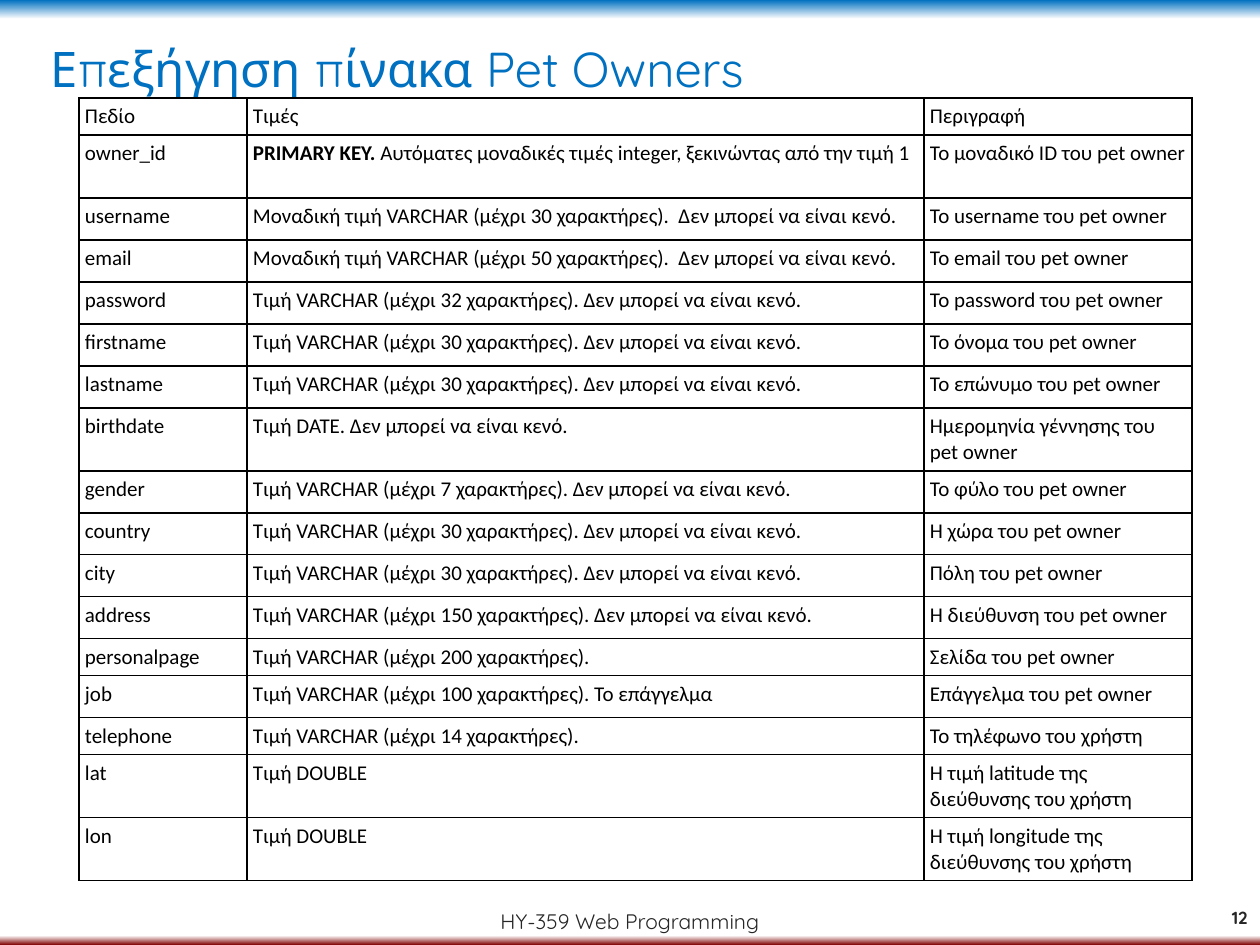
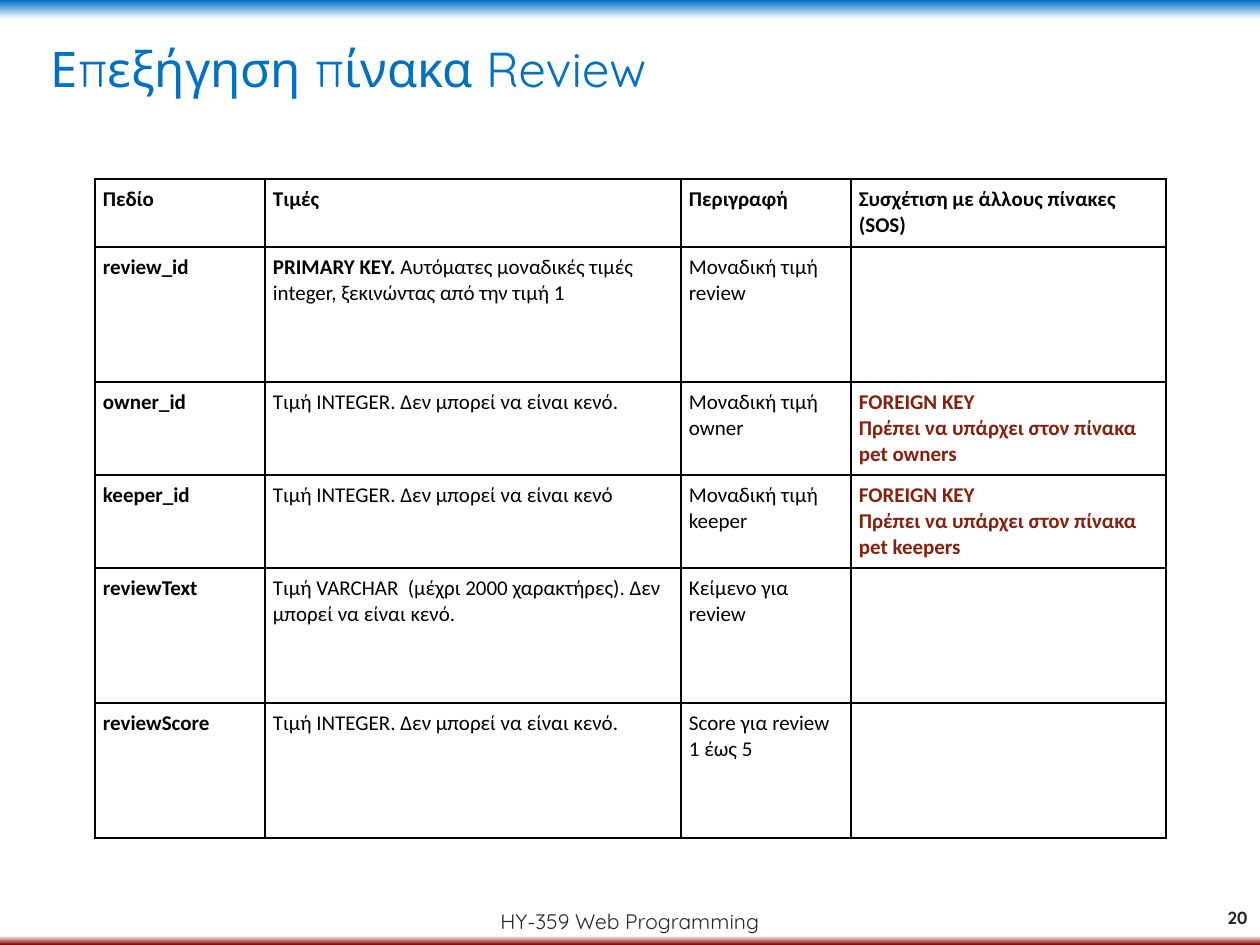
from lxml import etree
from pptx import Presentation
from pptx.dml.color import RGBColor
from pptx.enum.shapes import MSO_SHAPE
from pptx.enum.text import MSO_ANCHOR, MSO_AUTO_SIZE, PP_ALIGN
from pptx.oxml.ns import qn
from pptx.util import Pt

RECTANGLE = MSO_SHAPE.RECTANGLE
TOP, MIDDLE = MSO_ANCHOR.TOP, MSO_ANCHOR.MIDDLE
LEFT, CENTER, RIGHT = PP_ALIGN.LEFT, PP_ALIGN.CENTER, PP_ALIGN.RIGHT
NO_AUTOFIT = MSO_AUTO_SIZE.NONE

PX_PER_INCH = 126
BLUE, WHITE, MAROON = "0070C0", "FFFFFF", "800000"
BLACK, GREY, BROWN = "000000", "262626", "85200C"
BACKGROUND_STOPS = [(0, BLUE), (2, WHITE), (99, WHITE), (100, MAROON)]
HEADING_FONT, TABLE_FONT = "Quicksand", "Calibri"
TITLE_BOX = (38, 32, 1186, 89)
PANEL_BOX = (63, 45, 1162, 852)
FOOTER_BOX = (0, 893, 1260, 57)
NUMBER_BOX = (1192, 893, 68, 50)

NOT_NULL = "Δεν μπορεί να είναι κενό."
PRIMARY = "PRIMARY KEY."
AUTO_ID = PRIMARY + " Αυτόματες μοναδικές τιμές integer, ξεκινώντας από την τιμή 1"
INTEGER = "Τιμή INTEGER. " + NOT_NULL


def varchar(limit, ending=" " + NOT_NULL):
    return f"Τιμή VARCHAR (μέχρι {limit} χαρακτήρες).{ending}"


def unique_varchar(limit):
    return f"Μοναδική τιμή VARCHAR (μέχρι {limit} χαρακτήρες).  {NOT_NULL}"


def foreign_key(table):
    return f"FOREIGN KEY\nΠρέπει να υπάρχει στον πίνακα {table}"


OWNER_ROWS = [
    ("Πεδίο", "Τιμές", "Περιγραφή"),
    ("owner_id", AUTO_ID, "Το μοναδικό ID του pet owner"),
    ("username", unique_varchar(30), "Το username του pet owner"),
    ("email", unique_varchar(50), "Το email του pet owner"),
    ("password", varchar(32), "Το password του pet owner"),
    ("firstname", varchar(30), "Το όνομα του pet owner"),
    ("lastname", varchar(30), "Το επώνυμο του pet owner"),
    ("birthdate", "Τιμή DATE. " + NOT_NULL, "Ημερομηνία γέννησης του pet owner"),
    ("gender", varchar(7), "Το φύλο του pet owner"),
    ("country", varchar(30), "Η χώρα του pet owner"),
    ("city", varchar(30), "Πόλη του pet owner"),
    ("address", varchar(150), "Η διεύθυνση του pet owner"),
    ("personalpage", varchar(200, ""), "Σελίδα του pet owner"),
    ("job", varchar(100, " Το επάγγελμα"), "Επάγγελμα του pet owner"),
    ("telephone", varchar(14, ""), "Το τηλέφωνο του χρήστη"),
    ("lat", "Τιμή DOUBLE", "Η τιμή latitude της διεύθυνσης του χρήστη"),
    ("lon", "Τιμή DOUBLE", "Η τιμή longitude της διεύθυνσης του χρήστη"),
]
OWNER_HEIGHTS = [37, 63] + [42] * 5 + [63] + [42] * 4 + [37, 42, 37, 63, 63]

REVIEW_ROWS = [
    ("Πεδίο", "Τιμές", "Περιγραφή", "Συσχέτιση με άλλους πίνακες (SOS)"),
    ("review_id", AUTO_ID, "Μοναδική τιμή review", ""),
    ("owner_id", INTEGER, "Μοναδική τιμή owner", foreign_key("pet owners")),
    ("keeper_id", INTEGER.rstrip("."), "Μοναδική τιμή keeper",
     foreign_key("pet keepers")),
    ("reviewText", f"Τιμή VARCHAR  (μέχρι 2000 χαρακτήρες). {NOT_NULL}",
     "Κείμενο για review", ""),
    ("reviewScore", INTEGER, "Score για review 1 έως 5", ""),
]
REVIEW_HEIGHTS = [68, 135, 93, 93, 135, 135]


def px(n):
    return round(n * 914400 / PX_PER_INCH)


def rgb(value):
    return RGBColor.from_string(value)


def style_font(font, name, size, color, bold=False):
    font.name, font.size, font.bold = name, Pt(size), bold
    font.color.rgb = rgb(color)


def write_line(shape, text, size, color, align, anchor, bold=False):
    tf = shape.text_frame
    tf.word_wrap, tf.auto_size, tf.vertical_anchor = True, NO_AUTOFIT, anchor
    p = tf.paragraphs[0]
    p.text, p.alignment = text, align
    style_font(p.font, HEADING_FONT, size, color, bold)


def add_text(slide, box, text, size, align, bold=False):
    sp = slide.shapes.add_textbox(*map(px, box))
    write_line(sp, text, size, GREY, align, MIDDLE, bold)
    return sp


def set_background(master):
    fill = master.background.fill
    fill.gradient()
    fill.gradient_angle = 270
    stops = master.element.cSld.find(".//" + qn("a:gsLst"))
    for stop in list(stops):
        stops.remove(stop)
    for percent, color in BACKGROUND_STOPS:
        stop = etree.SubElement(stops, qn("a:gs"), pos=str(percent * 1000))
        etree.SubElement(stop, qn("a:srgbClr"), val=color)


def dress_master(prs, slide):
    """Draw the shared panel and footer on a slide and move them to the master."""
    set_background(prs.slide_master)
    panel = slide.shapes.add_shape(RECTANGLE, *map(px, PANEL_BOX))
    panel.shadow.inherit = False
    panel.fill.solid()
    panel.fill.fore_color.rgb = rgb(WHITE)
    panel.line.fill.background()
    footer = add_text(slide, FOOTER_BOX, "HY-359 Web Programming", 12, CENTER)
    for sp in (panel, footer):
        prs.slide_master.element.cSld.spTree.append(sp.element)


def add_borders(cell):
    tc_pr = cell._tc.get_or_add_tcPr()
    for side in ("lnL", "lnR", "lnT", "lnB"):
        ln = etree.SubElement(tc_pr, qn("a:" + side), w=str(Pt(1)))
        fill = etree.SubElement(ln, qn("a:solidFill"))
        etree.SubElement(fill, qn("a:srgbClr"), val=BLACK)


def fill_cell(cell, text, inset, bottom, color, bold):
    add_borders(cell)
    cell.fill.background()
    cell.margin_left = cell.margin_right = cell.margin_top = px(inset)
    cell.margin_bottom = px(bottom)
    cell.vertical_anchor = TOP
    cell.text_frame.text = text
    for p in cell.text_frame.paragraphs:
        style_font(p.font, TABLE_FONT, 12, color, bold)
    if text.startswith(PRIMARY):
        p = cell.text_frame.paragraphs[0]
        p.runs[0].text = PRIMARY
        p.runs[0].font.bold = True
        p.add_run().text = text.removeprefix(PRIMARY)


def add_field_table(slide, left, top, widths, heights, rows, inset, bottom,
                    emphasis=False):
    """Emphasis makes headings, field names and foreign keys bold."""
    frame = slide.shapes.add_table(len(rows), len(widths), px(left), px(top),
                                   px(sum(widths)), px(sum(heights)))
    table = frame.table
    table.first_row = table.horz_banding = False
    for column, width in zip(table.columns, widths):
        column.width = px(width)
    for r, (row, height) in enumerate(zip(rows, heights)):
        table.rows[r].height = px(height)
        for c, text in enumerate(row):
            is_key = text.startswith("FOREIGN KEY")
            bold = emphasis and (r == 0 or c == 0 or is_key)
            fill_cell(table.cell(r, c), text, inset, bottom,
                      BROWN if is_key else BLACK, bold)


def add_table_slide(prs, table_name, number):
    slide = prs.slides.add_slide(prs.slide_layouts[5])
    title = slide.shapes.title
    title.left, title.top, title.width, title.height = map(px, TITLE_BOX)
    write_line(title, "Επεξήγηση πίνακα " + table_name, 28, BLUE, LEFT, TOP)
    add_text(slide, NUMBER_BOX, number, 10, RIGHT, bold=True)
    return slide


def main():
    prs = Presentation()
    prs.slide_width, prs.slide_height = px(1260), px(945)

    owners = add_table_slide(prs, "Pet Owners", "12")
    dress_master(prs, owners)
    add_field_table(owners, 79, 98, [168, 677, 268], OWNER_HEIGHTS,
                    OWNER_ROWS, inset=6, bottom=5)

    review = add_table_slide(prs, "Review", "20")
    add_field_table(review, 95, 179, [170, 416, 170, 315], REVIEW_HEIGHTS,
                    REVIEW_ROWS, inset=8, bottom=8, emphasis=True)

    prs.save("out.pptx")


if __name__ == "__main__":
    main()
